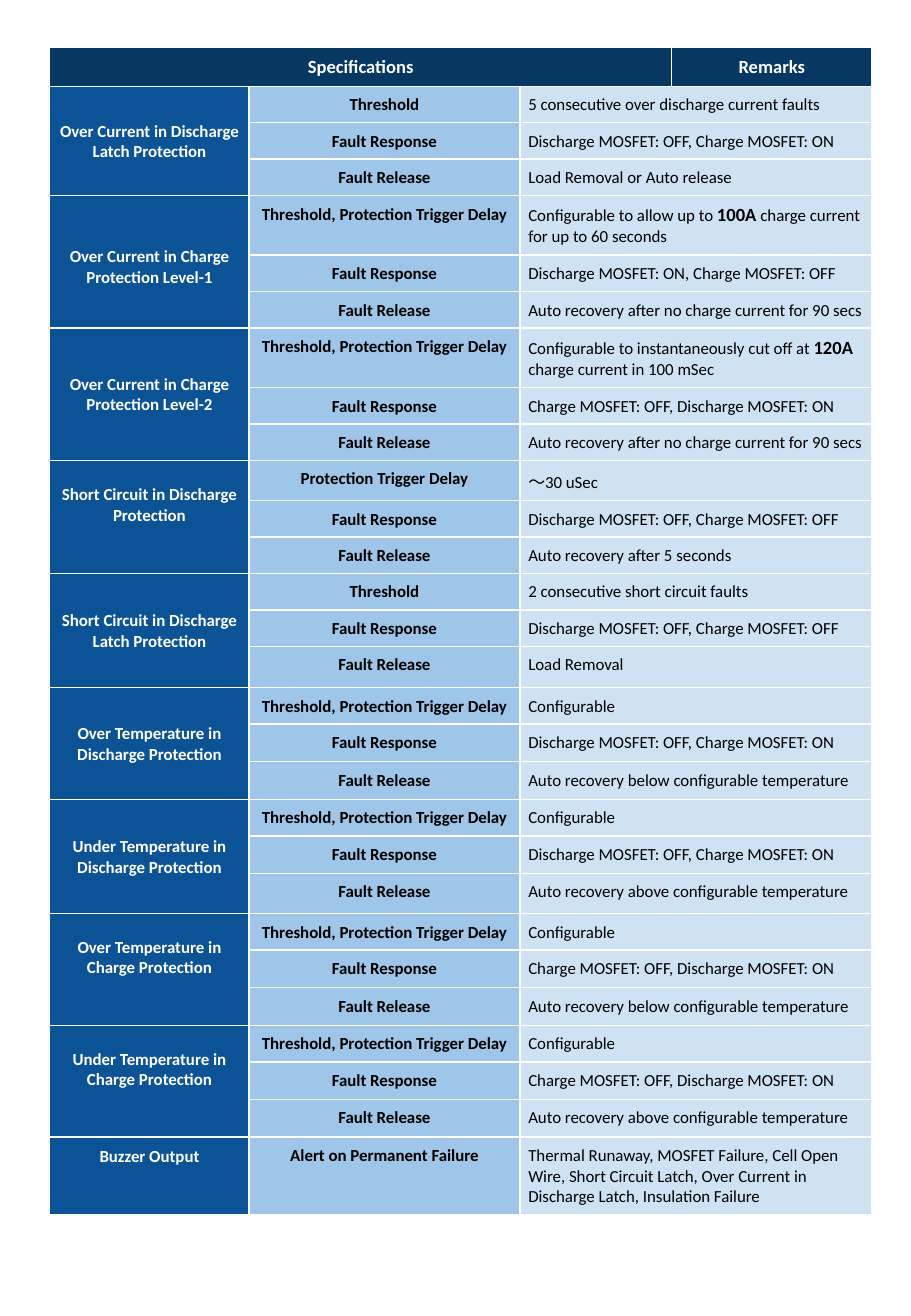
from lxml import etree
from pptx import Presentation
from pptx.dml.color import RGBColor
from pptx.enum.text import MSO_ANCHOR, PP_ALIGN
from pptx.oxml.ns import qn
from pptx.util import Inches, Pt

CENTER, LEFT = PP_ALIGN.CENTER, PP_ALIGN.LEFT
TOP, MIDDLE = MSO_ANCHOR.TOP, MSO_ANCHOR.MIDDLE
NAVY, BLUE, SKY, PALE = "073763", "0B5394", "9FC5E8", "CFE2F3"
WHITE, BLACK = "FFFFFF", "000000"
COLS = [1.64, 2.23, 1.25, 1.65]
HEAD = 0.32

LIMIT = "Threshold, Protection Trigger Delay"
REACT, FREE = "Fault Response", "Fault Release"
STOP_OUT = "Discharge MOSFET: OFF, Charge MOSFET: ON"
STOP_IN = "Charge MOSFET: OFF, Discharge MOSFET: ON"
STOP_ALL = "Discharge MOSFET: OFF, Charge MOSFET: OFF"
IDLE = "Auto recovery after no charge current for 90 secs"
BELOW = "Auto recovery below configurable temperature"
ABOVE = "Auto recovery above configurable temperature"

# title, lift, row heights, (label, remark) rows; each remark is split into plain and strong runs by "*"
GROUPS = [
    ("Over Current in Discharge Latch Protection", 0, [0.3, 0.3, 0.3], [
        ("Threshold", "5 consecutive over discharge current faults"),
        (REACT, STOP_OUT),
        (FREE, "Load Removal or Auto release")]),
    ("Over Current in Charge Protection Level-1", -0.08, [0.49, 0.3, 0.3], [
        (LIMIT, "Configurable to allow up to *100A* charge current for up to 60 seconds"),
        (REACT, "Discharge MOSFET: ON, Charge MOSFET: OFF"),
        (FREE, IDLE)]),
    ("Over Current in Charge Protection Level-2", 0, [0.49, 0.3, 0.3], [
        (LIMIT, "Configurable to instantaneously cut off at *120A* charge current in 100 mSec"),
        (REACT, STOP_IN),
        (FREE, IDLE)]),
    ("Short Circuit in Discharge Protection", 0.2, [0.3, 0.3, 0.3], [
        ("Protection Trigger Delay", "～30 uSec"),
        (REACT, STOP_ALL),
        (FREE, "Auto recovery after 5 seconds")]),
    ("Short Circuit in Discharge Latch Protection", 0, [0.3, 0.3, 0.34], [
        ("Threshold", "2 consecutive short circuit faults"),
        (REACT, STOP_ALL),
        (FREE, "Load Removal")]),
    ("Over Temperature in Discharge Protection", 0, [0.3, 0.31, 0.31], [
        (LIMIT, "Configurable"), (REACT, STOP_OUT), (FREE, BELOW)]),
    ("Under Temperature in Discharge Protection", 0, [0.3, 0.31, 0.33], [
        (LIMIT, "Configurable"), (REACT, STOP_OUT), (FREE, ABOVE)]),
    ("Over Temperature in Charge Protection", 0.2, [0.3, 0.31, 0.31], [
        (LIMIT, "Configurable"), (REACT, STOP_IN), (FREE, BELOW)]),
    ("Under Temperature in Charge Protection", 0.2, [0.3, 0.31, 0.31], [
        (LIMIT, "Configurable"), (REACT, STOP_IN), (FREE, ABOVE)]),
    ("Buzzer Output", 0.33, [0.64], [
        ("Alert on Permanent Failure",
         "Thermal Runaway, MOSFET Failure, Cell Open Wire, Short Circuit Latch, "
         "Over Current in Discharge Latch, Insulation Failure")]),
]


def color(code):
    return RGBColor.from_string(code)


def frame(cell, fill):
    props = cell._tc.get_or_add_tcPr()
    for side in ("lnL", "lnR", "lnT", "lnB"):
        line = etree.SubElement(props, qn("a:" + side), w=str(Pt(1)))
        solid = etree.SubElement(line, qn("a:solidFill"))
        etree.SubElement(solid, qn("a:srgbClr"), val=WHITE)
    cell.fill.solid()
    cell.fill.fore_color.rgb = color(fill)


def write(cell, text, ink, bold=True, size=10, align=CENTER, anchor=TOP, lift=0):
    cell.margin_left = cell.margin_right = Inches(0.07)
    cell.margin_top = Inches(0.07 + max(-lift, 0))
    cell.margin_bottom = Inches(0.06 + max(lift, 0))
    cell.vertical_anchor = anchor
    para = cell.text_frame.paragraphs[0]
    para.alignment = align
    for i, part in enumerate(text.split("*")):
        strong = i % 2 == 1
        run = para.add_run()
        run.text = part
        run.font.name = "Calibri"
        run.font.size = Pt(11 if strong else size)
        run.font.bold = bold or strong
        run.font.color.rgb = color(ink)


def add_group(grid, top, group):
    title, lift, _, rows = group
    name = grid.cell(top, 0)
    if len(rows) > 1:
        name.merge(grid.cell(top + len(rows) - 1, 0))
    write(name, title, WHITE, anchor=MIDDLE, lift=lift)
    for row, (label, remark) in enumerate(rows, top):
        write(grid.cell(row, 1), label, BLACK)
        note = grid.cell(row, 2)
        note.merge(grid.cell(row, 3))
        write(note, remark, BLACK, bold=False, align=LEFT)


def add_specs(slide, left, top):
    highs = [HEAD] + [high for group in GROUPS for high in group[2]]
    shape = slide.shapes.add_table(len(highs), len(COLS), Inches(left), Inches(top),
                                   Inches(sum(COLS)), Inches(sum(highs)))
    grid = shape.table
    grid.first_row = grid.horz_banding = False
    for col, wide in zip(grid.columns, COLS):
        col.width = Inches(wide)
    for i, (row, high) in enumerate(zip(grid.rows, highs)):
        row.height = Inches(high)
        fills = [BLUE, SKY, PALE, PALE] if i else [NAVY] * 4
        for cell, fill in zip(row.cells, fills):
            frame(cell, fill)
    grid.cell(0, 0).merge(grid.cell(0, 2))
    write(grid.cell(0, 0), "Specifications", WHITE, size=11)
    write(grid.cell(0, 3), "Remarks", WHITE, size=11)
    start = 1
    for group in GROUPS:
        add_group(grid, start, group)
        start += len(group[3])


def main():
    deck = Presentation()
    deck.slide_width, deck.slide_height = Inches(7.5), Inches(10.83)
    slide = deck.slides.add_slide(deck.slide_layouts[6])
    add_specs(slide, 0.41, 0.39)
    deck.save("out.pptx")


if __name__ == "__main__":
    main()
